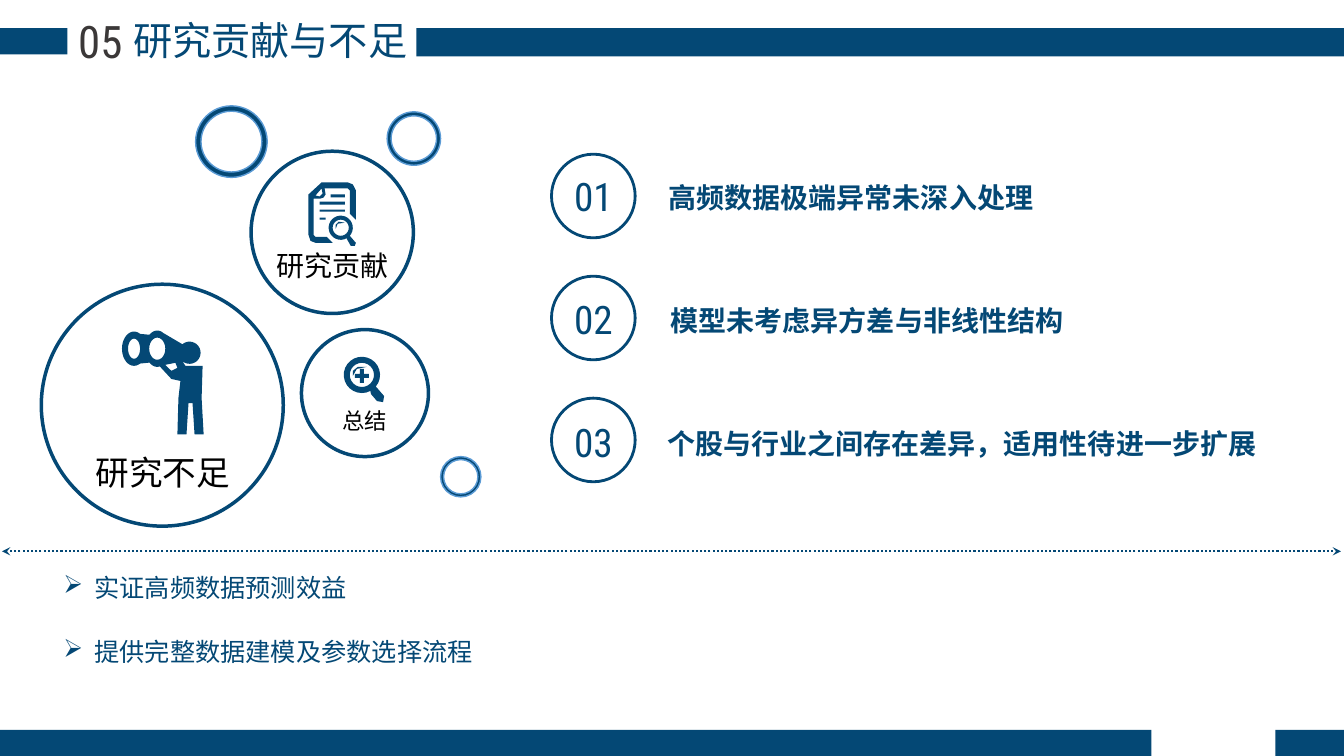
from math import cos, radians, sin

from lxml import etree
from pptx import Presentation
from pptx.dml.color import RGBColor
from pptx.enum.dml import MSO_LINE
from pptx.enum.shapes import MSO_CONNECTOR, MSO_SHAPE
from pptx.enum.text import MSO_ANCHOR, MSO_AUTO_SIZE, PP_ALIGN
from pptx.oxml.ns import qn
from pptx.util import Inches, Pt

RECT, OVAL, DONUT = MSO_SHAPE.RECTANGLE, MSO_SHAPE.OVAL, MSO_SHAPE.DONUT
CENTER, LEFT = PP_ALIGN.CENTER, PP_ALIGN.LEFT
NAVY, RIM, BLACK, GREY = "044875", "5B9BD5", "000000", "3B3838"
BODY, NUMERAL, CJK = "Calibri", "Roboto Condensed", "Noto Sans CJK SC"


def arc(cx, cy, rx, ry, start=0, end=360):
    """Points along an elliptical arc, clockwise on the slide."""
    steps = 24
    angles = [radians(start + (end - start) * i / steps) for i in range(steps + 1)]
    return [(cx + rx * cos(a), cy + ry * sin(a)) for a in angles]


def box(left, top, right, bottom):
    return [(left, top), (right, top), (right, bottom), (left, bottom)]


# Content: icons are lists of closed contours, inner ones cut holes
OBSERVER = [
    arc(1.56, 3.46, 0.12, 0.18, -130, -60) + arc(1.88, 3.5, 0.11, 0.11, -130, 130)
    + [(1.84, 3.63), (2.01, 3.63), (2, 3.95), (2.02, 4.31), (1.93, 4.31),
       (1.91, 4), (1.87, 4), (1.85, 4.31), (1.76, 4.31), (1.77, 3.95),
       (1.79, 3.78), (1.7, 3.76), (1.58, 3.63)]
    + arc(1.56, 3.46, 0.12, 0.18, 80, 130) + arc(1.33, 3.46, 0.12, 0.17, 60, 300),
    [(1.76, 3.65), (1.7, 3.68), (1.64, 3.62), (1.74, 3.6)],
    arc(1.33, 3.46, 0.06, 0.1),
    arc(1.56, 3.46, 0.08, 0.11),
]
DOCUMENT = [
    [(3.19, 1.81), (3.45, 1.81), (3.5, 1.83), (3.53, 1.89), (3.53, 2.18),
     (3.47, 2.12), (3.47, 1.89), (3.45, 1.87), (3.22, 1.87), (3.23, 1.93),
     (3.21, 1.96), (3.18, 1.97), (3.11, 1.97), (3.11, 2.33), (3.13, 2.35),
     (3.24, 2.35), (3.3, 2.41), (3.13, 2.41), (3.08, 2.39), (3.06, 2.33),
     (3.06, 1.93), (3.18, 1.82)],
    [(3.19, 1.87), (3.13, 1.94), (3.17, 1.95), (3.2, 1.92)],
    box(3.17, 2.16, 3.23, 2.18),
    box(3.17, 2.08, 3.42, 2.1),
    box(3.17, 2, 3.42, 2.03),
    box(3.28, 1.93, 3.42, 1.96),
    arc(3.38, 2.26, 0.12, 0.12, 60, 390)
    + [(3.47, 2.34), (3.53, 2.41), (3.52, 2.44), (3.48, 2.44), (3.44, 2.37)],
    arc(3.38, 2.26, 0.08, 0.08),
    [(3.33, 2.27), (3.35, 2.22), (3.42, 2.21), (3.36, 2.2), (3.33, 2.23)],
]
MAGNIFIER = [
    arc(3.59, 3.72, 0.18, 0.18, 62, 400)
    + [(3.75, 3.86), (3.81, 3.93), (3.8, 3.99), (3.74, 3.98), (3.68, 3.91)],
    arc(3.59, 3.72, 0.12, 0.12),
    [(3.57, 3.8), (3.61, 3.8), (3.61, 3.75), (3.66, 3.75), (3.66, 3.71),
     (3.61, 3.71), (3.61, 3.66), (3.57, 3.66), (3.57, 3.71), (3.52, 3.71),
     (3.52, 3.75), (3.57, 3.75)],
    [(3.5, 3.73), (3.54, 3.66), (3.64, 3.64), (3.55, 3.64), (3.5, 3.68)],
]
TITLE = ("研究贡献与不足", (0.88, 0.11, 3.6, 0.57))
SECTION = ("05", (0.6, 0.09, 0.79, 0.64))
BARS = [(0, 0.28, 0.67, 0.26), (4.13, 0.28, 9.2, 0.28),
        (12.65, 7.24, 0.68, 0.26), (0, 7.24, 11.42, 0.26)]
RINGS = [(1.94, 1.05, 0.71), (3.84, 1.11, 0.53), (4.37, 4.53, 0.4)]
# label, size, circle (left, top, diameter), label box, icon
TOPICS = [
    ("研究不足", 24, (0.41, 2.82, 2.4), (0.73, 4.43, 1.77, 0.51), OBSERVER),
    ("研究贡献", 20, (2.49, 1.5, 1.61), (2.41, 2.42, 1.77, 0.44), DOCUMENT),
    ("总结", 16, (2.99, 3.27, 1.26), (2.73, 3.99, 1.77, 0.37), MAGNIFIER),
]
# limitation, left and width of its text
LIMITATIONS = [
    ("高频数据极端异常未深入处理", 6.3, 4.28),
    ("模型未考虑异方差与非线性结构", 6.18, 4.84),
    ("个股与行业之间存在差异，适用性待进一步扩展", 6.32, 6.44),
]
CONTRIBUTIONS = ["实证高频数据预测效益", "提供完整数据建模及参数选择流程"]


def rgb(value):
    return RGBColor.from_string(value)


def add_run(paragraph, text, size, color, font=BODY, bold=False):
    run = paragraph.add_run()
    run.text = text
    run.font.size, run.font.name, run.font.bold = Pt(size), font, bold
    run.font.color.rgb = rgb(color)
    east_asian = etree.SubElement(run._r.get_or_add_rPr(), qn("a:ea"))
    east_asian.set("typeface", CJK)


def add_frame(place):
    frame = slide.shapes.add_textbox(*map(Inches, place)).text_frame
    frame.word_wrap = True
    frame.auto_size = MSO_AUTO_SIZE.SHAPE_TO_FIT_TEXT
    return frame


def add_label(place, *run_format, **run_options):
    paragraph = add_frame(place).paragraphs[0]
    paragraph.alignment = CENTER
    add_run(paragraph, *run_format, **run_options)


def add_figure(kind, place, fill=None, line=None, width=1):
    figure = slide.shapes.add_shape(kind, *map(Inches, place))
    paint(figure, fill, line, width)
    return figure


def paint(figure, fill=None, line=None, width=1):
    figure.shadow.inherit = False
    if fill:
        figure.fill.solid()
        figure.fill.fore_color.rgb = rgb(fill)
    else:
        figure.fill.background()
    if line:
        figure.line.color.rgb = rgb(line)
        figure.line.width = Pt(width)
    else:
        figure.line.fill.background()


def add_icon(contours):
    builder = None
    for contour in contours:
        start, *rest = [(Inches(x), Inches(y)) for x, y in contour]
        if builder is None:
            builder = slide.shapes.build_freeform(*start)
        else:
            builder.move_to(*start)
        builder.add_line_segments(rest, close=True)
    paint(builder.convert_to_shape(), NAVY)


prs = Presentation()
prs.slide_width, prs.slide_height = Inches(13.33), Inches(7.5)
slide = prs.slides.add_slide(prs.slide_layouts[5])

title_text, title_place = TITLE
title = slide.shapes.title
title.left, title.top, title.width, title.height = map(Inches, title_place)
title.text_frame.auto_size = MSO_AUTO_SIZE.NONE
title.text_frame.vertical_anchor = MSO_ANCHOR.TOP
title.text_frame.paragraphs[0].alignment = CENTER
add_run(title.text_frame.paragraphs[0], title_text, 28, NAVY, CJK)

for bar in BARS:
    add_figure(RECT, bar, NAVY)
add_label(SECTION[1], SECTION[0], 32, GREY, NUMERAL)

for left, top, diameter in RINGS:
    ring = add_figure(DONUT, (left, top, diameter, diameter), NAVY, RIM)
    ring.adjustments[0] = 0.075

for label, size, (left, top, diameter), label_place, icon in TOPICS:
    add_figure(OVAL, (left, top, diameter, diameter), line=NAVY, width=2.5)
    add_icon(icon)
    add_label(label_place, label, size, BLACK)

for i, (limitation, left, width) in enumerate(LIMITATIONS):
    add_label((5.21, 1.66 + 1.22 * i, 1.35, 0.57), f"{i + 1:02}", 28, NAVY, NUMERAL)
    add_figure(OVAL, (5.47, 1.53 + 1.21 * i, 0.83, 0.83), line=NAVY, width=2)
    add_label((left, 1.74 + 1.22 * i, width, 0.44), limitation, 20, NAVY, bold=True)

divider = slide.shapes.add_connector(
    MSO_CONNECTOR.STRAIGHT, Inches(13.3), Inches(5.47), Inches(0.02), Inches(5.47))
divider.line.color.rgb = rgb(NAVY)
divider.line.width = Pt(1.5)
divider.line.dash_style = MSO_LINE.ROUND_DOT
for end in ("a:headEnd", "a:tailEnd"):
    etree.SubElement(divider.line._get_or_add_ln(), qn(end)).set("type", "stealth")
etree.SubElement(divider._element.spPr, qn("a:effectLst"))

contribution_frame = add_frame((0.53, 5.61, 12.76, 1.05))
for i, contribution in enumerate(CONTRIBUTIONS):
    paragraph = contribution_frame.add_paragraph() if i else contribution_frame.paragraphs[0]
    properties = paragraph._p.get_or_add_pPr()
    properties.set("marL", str(Inches(0.31)))
    properties.set("indent", str(-Inches(0.31)))
    etree.SubElement(properties, qn("a:buChar")).set("char", "➢")
    paragraph.alignment = LEFT
    paragraph.line_spacing = Pt(23)
    if i:
        paragraph.space_before = Pt(23)
    add_run(paragraph, contribution, 18, NAVY)

prs.save("out.pptx")
